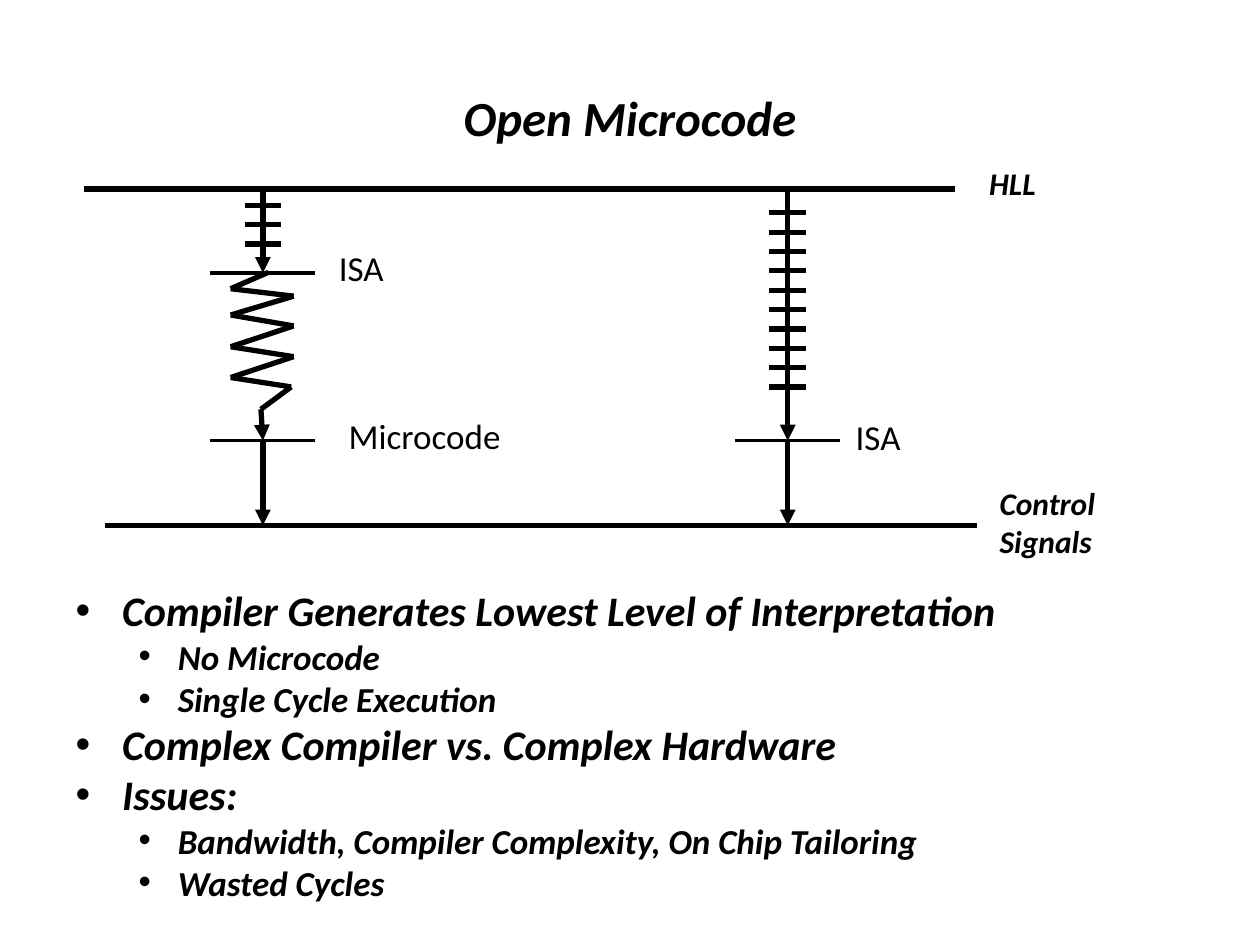
from dataclasses import dataclass
from itertools import pairwise

from lxml import etree
from pptx import Presentation
from pptx import util as u
from pptx.dml.color import RGBColor
from pptx.enum import shapes, text
from pptx.oxml.ns import qn

BLACK = "000000"
FONT = "Calibri"


@dataclass
class Line:
    start: tuple[float, float]
    end: tuple[float, float]
    width: float = 3
    arrow: bool = False


@dataclass
class Label:
    lines: list[str]
    left: float
    top: float
    width: float
    height: float
    size: int = 20
    strong: bool = False
    wrap: bool = False


@dataclass
class Level:
    size: int
    indent: float
    hanging: float
    space_before: float


def colour(value: str) -> RGBColor:
    return RGBColor.from_string(value)


def set_font(paragraph, size: int, strong: bool = True) -> None:
    """Apply the slide font; strong means bold and italic."""
    font = paragraph.font
    font.name = FONT
    font.size = u.Pt(size)
    font.bold = font.italic = strong
    font.color.rgb = colour(BLACK)


def place(shape, left: float, top: float, width: float, height: float) -> None:
    shape.left, shape.top = u.Cm(left), u.Cm(top)
    shape.width, shape.height = u.Cm(width), u.Cm(height)


def draw_line(slide, line: Line) -> None:
    connector = slide.shapes.add_connector(
        shapes.MSO_CONNECTOR.STRAIGHT, *map(u.Cm, line.start + line.end))
    connector.line.width = u.Pt(line.width)
    connector.line.color.rgb = colour(BLACK)
    if line.arrow:
        outline = connector.line._get_or_add_ln()
        etree.SubElement(outline, qn("a:tailEnd"), type="triangle")
    etree.SubElement(connector._element.spPr, qn("a:effectLst"))


def draw_label(slide, label: Label) -> None:
    box = slide.shapes.add_textbox(
        *map(u.Cm, (label.left, label.top, label.width, label.height)))
    frame = box.text_frame
    frame.word_wrap = label.wrap
    frame.auto_size = text.MSO_AUTO_SIZE.SHAPE_TO_FIT_TEXT
    frame.text = "\n".join(label.lines)
    for paragraph in frame.paragraphs:
        set_font(paragraph, label.size, label.strong)


def format_bullet(paragraph, level: Level) -> None:
    paragraph.line_spacing = 0.8
    paragraph.space_before = u.Pt(level.space_before)
    properties = paragraph._p.get_or_add_pPr()
    properties.set("marL", str(u.Cm(level.indent)))
    properties.set("indent", str(-u.Cm(level.hanging)))
    bullet_colour = etree.SubElement(properties, qn("a:buClr"))
    etree.SubElement(bullet_colour, qn("a:srgbClr"), val=BLACK)
    etree.SubElement(properties, qn("a:buFont"), typeface="Arial")
    etree.SubElement(properties, qn("a:buChar"), char="•")
    set_font(paragraph, level.size)


def tick_marks(centre: float, top: float, count: int) -> list[Line]:
    heights = [top + 0.39 * i for i in range(count)]
    return [Line((centre - 0.37, y), (centre + 0.37, y)) for y in heights]


def level_mark(centre: float, y: float) -> Line:
    return Line((centre - 1.06, y), (centre + 1.06, y), width=2)


HLL_Y, ISA_Y, MICROCODE_Y, CONTROL_Y = 3.81, 5.5, 8.88, 10.59
LEFT_X, RIGHT_X = 5.3, 15.88
ZIGZAG = [(5.41, 5.49), (4.65, 5.82), (5.92, 5.97), (4.65, 6.35), (5.92, 6.57),
          (4.65, 6.99), (5.92, 7.19), (4.65, 7.61), (5.87, 7.8), (5.26, 8.25)]

LINES = [
    Line((1.7, HLL_Y), (19.25, HLL_Y)),
    Line((2.11, CONTROL_Y), (19.69, CONTROL_Y)),
    Line((LEFT_X, HLL_Y), (LEFT_X, ISA_Y), arrow=True),
    Line(ZIGZAG[-1], (LEFT_X, MICROCODE_Y), arrow=True),
    Line((LEFT_X, MICROCODE_Y), (LEFT_X, CONTROL_Y), arrow=True),
    Line((RIGHT_X, HLL_Y), (RIGHT_X, MICROCODE_Y), arrow=True),
    Line((RIGHT_X, MICROCODE_Y), (RIGHT_X, CONTROL_Y), arrow=True),
    level_mark(LEFT_X, ISA_Y),
    level_mark(LEFT_X, MICROCODE_Y),
    level_mark(RIGHT_X, MICROCODE_Y),
    *tick_marks(LEFT_X, 4.14, 3),
    *tick_marks(RIGHT_X, 4.29, 10),
    *(Line(start, end) for start, end in pairwise(ZIGZAG)),
]

LABELS = [
    Label(["HLL"], 19.69, 3.18, 1.45, 1.02, size=18, strong=True),
    Label(["Control", "Signals"], 19.9, 9.63, 2.74, 1.78,
          size=18, strong=True, wrap=True),
    Label(["ISA"], 6.58, 4.85, 1.42, 1.12),
    Label(["Microcode"], 6.78, 8.23, 3.58, 1.12),
    Label(["ISA"], 17, 8.25, 1.42, 1.12),
]

LEVELS = [Level(24, 0.94, 0.94, 5.5), Level(20, 2.06, 0.79, 4.8)]
BULLETS = [
    (0, "Compiler Generates Lowest Level of Interpretation"),
    (1, "No Microcode"),
    (1, "Single Cycle Execution"),
    (0, "Complex Compiler vs. Complex Hardware"),
    (0, "Issues:"),
    (1, "Bandwidth, Compiler Complexity, On Chip Tailoring"),
    (1, "Wasted Cycles"),
]


def main() -> None:
    presentation = Presentation()
    presentation.slide_width, presentation.slide_height = u.Cm(25.4), u.Cm(19.05)
    slide = presentation.slides.add_slide(presentation.slide_layouts[1])

    title, body = slide.placeholders
    place(title, 1.27, 0.76, 22.86, 3.18)
    title.text_frame.text = "Open Microcode"
    title.text_frame.vertical_anchor = text.MSO_ANCHOR.MIDDLE
    set_font(title.text_frame.paragraphs[0], 28)

    place(body, 1.27, 11.86, 22.86, 6.55)
    frame = body.text_frame
    frame.auto_size = text.MSO_AUTO_SIZE.NONE
    frame.text = "\n".join(wording for _, wording in BULLETS)
    for paragraph, (depth, _) in zip(frame.paragraphs, BULLETS):
        paragraph.level = depth
        format_bullet(paragraph, LEVELS[depth])

    for line in LINES:
        draw_line(slide, line)
    for label in LABELS:
        draw_label(slide, label)
    presentation.save("out.pptx")


if __name__ == "__main__":
    main()
